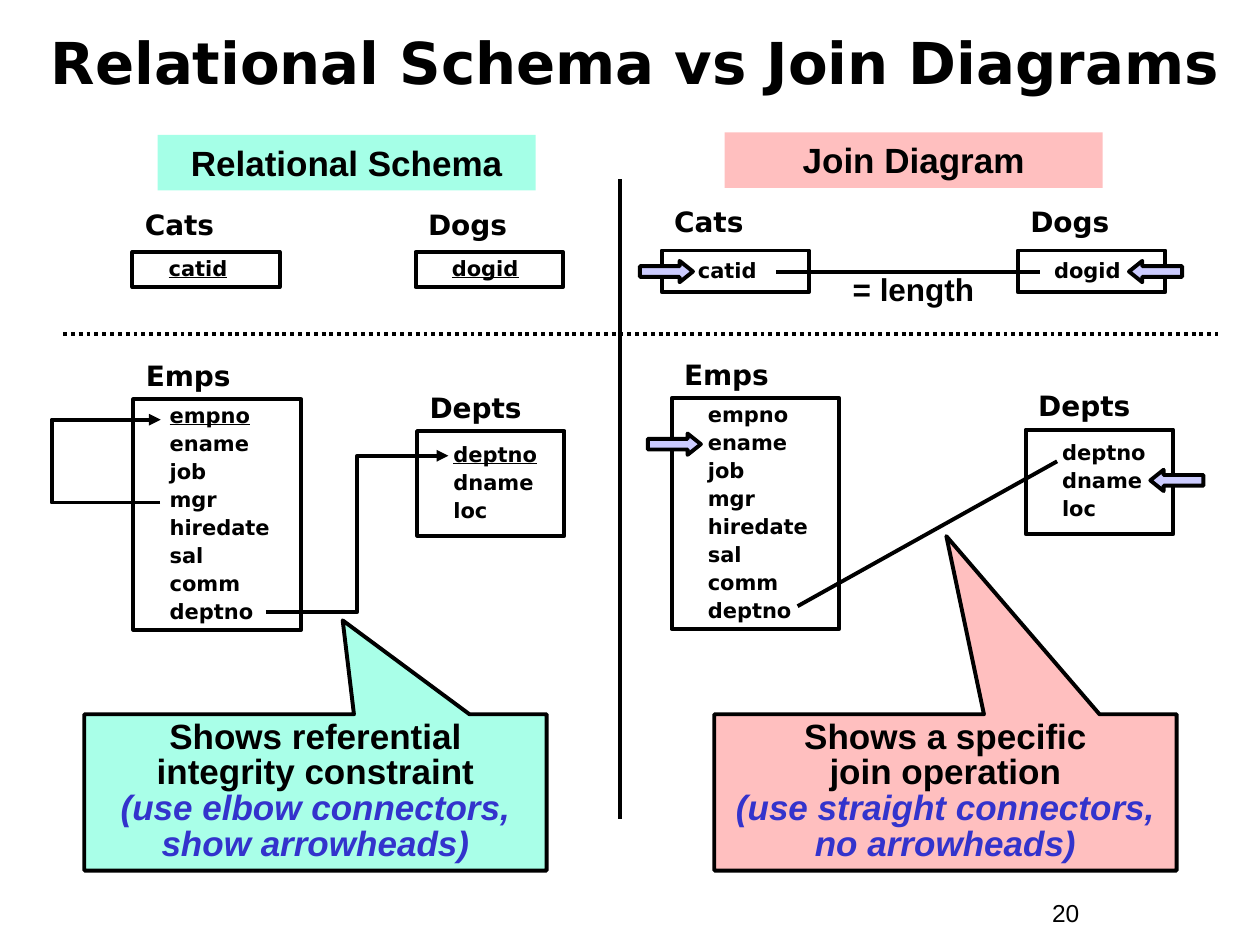
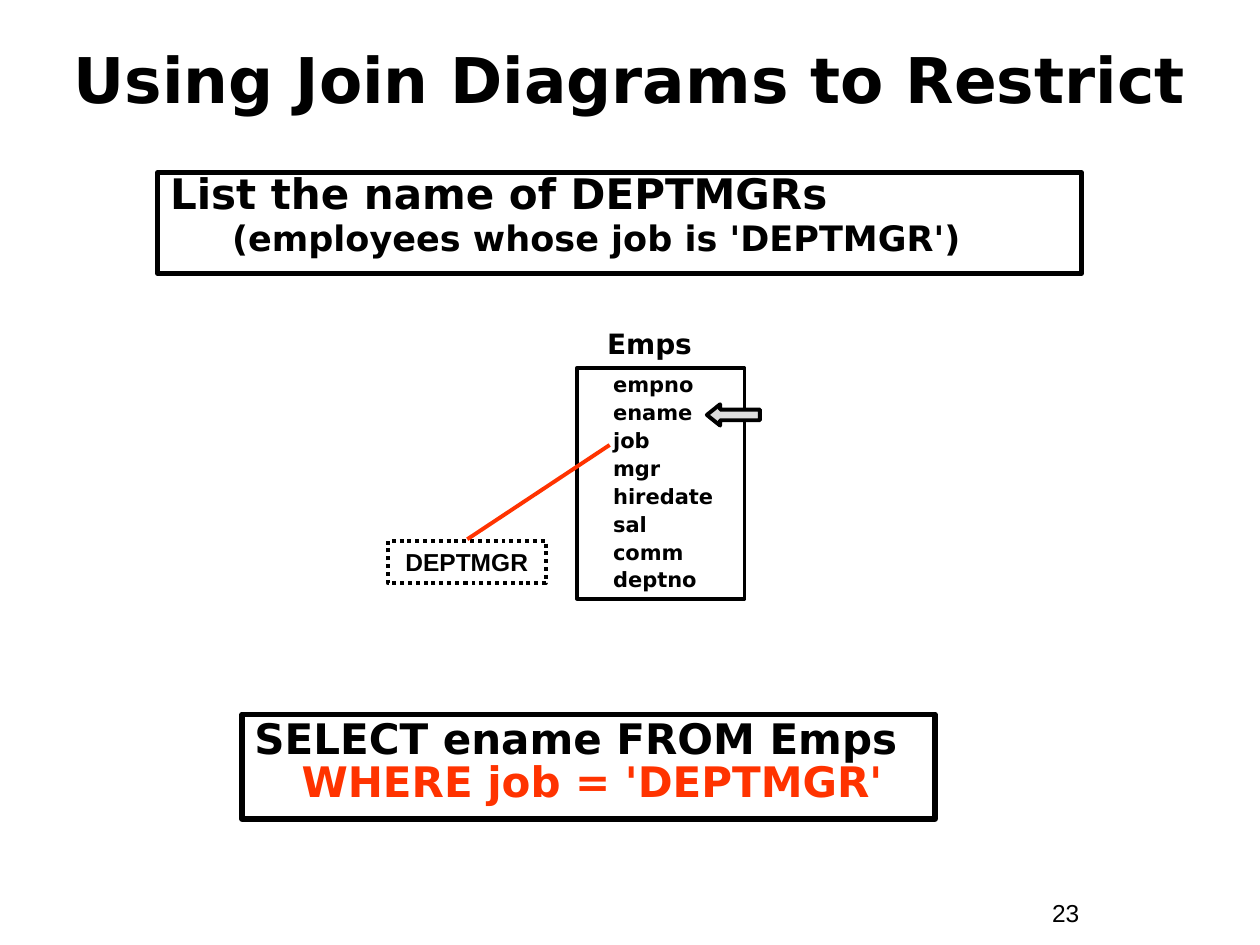
import pptx
import pptx.util
import pptx.dml.color
import pptx.enum.dml
import pptx.enum.shapes
import pptx.enum.text
import pptx.oxml.ns
from lxml import etree

Cm = pptx.util.Cm
Pt = pptx.util.Pt
RGBColor = pptx.dml.color.RGBColor
SHAPE = pptx.enum.shapes.MSO_SHAPE
LINK = pptx.enum.shapes.MSO_CONNECTOR
ALIGN = pptx.enum.text.PP_ALIGN
ANCHOR = pptx.enum.text.MSO_ANCHOR
DOTS = pptx.enum.dml.MSO_LINE.ROUND_DOT
qn = pptx.oxml.ns.qn

BLACK = RGBColor(0x00, 0x00, 0x00)
MINT = RGBColor(0xA5, 0xFF, 0xE7)
AQUA = RGBColor(0xA9, 0xFF, 0xE8)
PINK = RGBColor(0xFF, 0xBF, 0xBF)
BLUE = RGBColor(0x33, 0x33, 0xCC)
LILAC = RGBColor(0xCC, 0xCC, 0xFF)
GREY = RGBColor(0xDD, 0xDD, 0xDD)
RED = RGBColor(0xFF, 0x33, 0x00)

SANS = "DejaVu Sans"
ARIAL = "Arial"
EMPS = ["empno", "ename", "job", "mgr", "hiredate", "sal", "comm", "deptno"]
DEPTS = ["deptno", "dname", "loc"]


def style(para, size, font=SANS, color=BLACK, bold=True):
    for run in para.runs:
        run.font.size = Pt(size)
        run.font.name = font
        run.font.bold = bold
        run.font.color.rgb = color


def write(shape, lines, size, font=SANS, align=ALIGN.LEFT, space=1.0,
          gap=0, anchor=ANCHOR.TOP, bold=True):
    frame = shape.text_frame
    frame.word_wrap = True
    frame.vertical_anchor = anchor
    frame.text = "\n".join(lines)
    for row, para in enumerate(frame.paragraphs):
        para.alignment = align
        para.line_spacing = space
        para.space_before = Pt(gap if row else 0)
        style(para, size, font, bold=bold)
    return frame.paragraphs


def indent(para, left):
    para._p.get_or_add_pPr().set("marL", str(Cm(left)))


def label(slide, x, y, wide, high, text, size, **look):
    box = slide.shapes.add_textbox(Cm(x), Cm(y), Cm(wide), Cm(high))
    write(box, [text], size, **look)


def block(slide, kind, x, y, wide, high, fill=None, line=2.25):
    shape = slide.shapes.add_shape(kind, Cm(x), Cm(y), Cm(wide), Cm(high))
    shape.shadow.inherit = False
    if fill is None:
        shape.fill.background()
    else:
        shape.fill.solid()
        shape.fill.fore_color.rgb = fill
    if line:
        shape.line.color.rgb = BLACK
        shape.line.width = Pt(line)
    else:
        shape.line.fill.background()
    return shape


def join(slide, x1, y1, x2, y2, kind=LINK.STRAIGHT, color=BLACK, head=False):
    link = slide.shapes.add_connector(kind, Cm(x1), Cm(y1), Cm(x2), Cm(y2))
    link.line.color.rgb = color
    link.line.width = Pt(2.25)
    if head:
        tail = etree.SubElement(link.line._get_or_add_ln(), qn("a:tailEnd"))
        tail.set("type", "triangle")
    etree.SubElement(link._element.spPr, qn("a:effectLst"))
    return link


def loop(slide, x, top, base, reach):
    thin = 0.01
    link = join(slide, x + thin, top, x, base, LINK.ELBOW, head=True)
    link.rotation = 180
    link._element.spPr.find(qn("a:xfrm")).set("rot", "10800000")
    guides = link._element.spPr.find(qn("a:prstGeom")).find(qn("a:avLst"))
    guide = etree.SubElement(guides, qn("a:gd"))
    guide.set("name", "adj1")
    guide.set("fmla", f"val {-round(reach / thin * 100000)}")


def arrow(slide, x, y, kind, fill=LILAC):
    shape = block(slide, kind, x, y, 1.07, 0.43, fill)
    shape.adjustments[0] = 0.5
    shape.adjustments[1] = 0.625


def table(slide, x, y, wide, high, name, fields, lift=0.87, shift=0, key=False):
    label(slide, x + shift, y - lift, 3.45, 0.86, name, 16, space=0.9)
    box = block(slide, SHAPE.RECTANGLE, x, y, wide, high)
    paras = write(box, fields, 12, space=0.9, gap=3, anchor=ANCHOR.MIDDLE)
    for para in paras:
        indent(para, 0.48)
    paras[0].runs[0].font.underline = key


def banner(slide, x, y, text, fill):
    box = block(slide, SHAPE.RECTANGLE, x, y, 7.62, 1.12, fill, line=0)
    write(box, [text], 20, ARIAL, ALIGN.CENTER)


def callout(slide, x, y, facts, hints, fill, tip):
    box = block(slide, SHAPE.RECTANGULAR_CALLOUT, x, y, 9.32, 3.15, fill)
    box.adjustments[0], box.adjustments[1] = tip
    paras = write(box, facts + hints, 20, ARIAL, ALIGN.CENTER, 0.85)
    for para in paras[len(facts):]:
        style(para, 20, ARIAL, BLUE)
        para.runs[0].font.italic = True


def schema(slide, x, y):
    banner(slide, x + 3.18, y + 0.22, "Relational Schema", MINT)
    for left, name, field in ((2.67, "Cats", "catid"), (8.38, "Dogs", "dogid")):
        table(slide, x + left, y + 2.58, 2.97, 0.71, name, [field], 0.95, key=True)
    table(slide, x + 2.69, y + 5.55, 3.38, 4.65, "Emps", EMPS, key=True)
    table(slide, x + 8.41, y + 6.19, 2.97, 2.11, "Depts", DEPTS, key=True)
    join(slide, x + 5.36, y + 9.84, x + 9.04, y + 6.69, LINK.ELBOW, head=True)
    loop(slide, x + 3.23, y + 5.96, y + 7.63, 2.19)
    callout(slide, x + 1.7, y + 11.9, ["Shows referential integrity constraint"],
            ["(use elbow connectors,", "show arrowheads)"], AQUA, (0.059, -1.101))


def diagram(slide, x, y):
    banner(slide, x + 2.11, y + 0.17, "Join Diagram", PINK)
    for left, name, field in ((0.84, "Cats", "catid"), (8.02, "Dogs", "dogid")):
        table(slide, x + left, y + 2.55, 2.97, 0.84, name, [field], 0.97)
    table(slide, x + 1.04, y + 5.53, 3.38, 4.65, "Emps", EMPS)
    table(slide, x + 8.18, y + 6.16, 2.97, 2.11, "Depts", DEPTS)
    join(slide, x + 3.15, y + 2.99, x + 8.46, y + 2.99)
    label(slide, x + 4.01, y + 2.81, 3.81, 1.02, "= length", 18,
          font=ARIAL, align=ALIGN.CENTER)
    join(slide, x + 3.58, y + 9.72, x + 8.81, y + 6.8)
    callout(slide, x + 1.9, y + 11.9, ["Shows a specific", "join operation"],
            ["(use straight connectors,", "no arrowheads)"], PINK, (0.002, -1.64))
    for left, top in ((0.56, 6.24), (0.4, 2.76)):
        arrow(slide, x + left, y + top, SHAPE.RIGHT_ARROW)
    for left, top in ((10.26, 2.76), (10.69, 6.97)):
        arrow(slide, x + left, y + top, SHAPE.LEFT_ARROW)


def start(deck, text, number, box, size, space=1.0):
    slide = deck.slides.add_slide(deck.slide_layouts[5])
    title = slide.shapes.title
    title.left, title.top, title.width, title.height = map(Cm, box)
    write(title, [text], size, align=ALIGN.CENTER, space=space,
          anchor=ANCHOR.MIDDLE)
    title.text_frame.auto_size = pptx.enum.text.MSO_AUTO_SIZE.NONE
    label(slide, 20.96, 17.98, 2.34, 0.86, number, 14, font=ARIAL, bold=False)
    return slide


def compare(deck):
    slide = start(deck, "Relational Schema vs Join Diagrams", "20",
                  (0.64, 0.2, 24.33, 2.34), 33, 0.8)
    schema(slide, 0, 2.5)
    diagram(slide, 12.5, 2.5)
    join(slide, 12.5, 3.61, 12.5, 16.51)
    join(slide, 1.27, 6.73, 24.56, 6.73).line.dash_style = DOTS


def filter_map(slide, x, y):
    table(slide, x + 3.81, y, 3.38, 4.65, "Emps", EMPS, 0.89, 0.36)
    value = block(slide, SHAPE.RECTANGLE, x, y + 3.48, 3.18, 0.86)
    value.line.dash_style = DOTS
    write(value, ["DEPTMGR"], 14, ARIAL, ALIGN.CENTER)
    join(slide, x + 4.47, y + 1.55, x + 1.6, y + 3.45, color=RED)
    arrow(slide, x + 6.43, y + 0.73, SHAPE.LEFT_ARROW, GREY)


def restrict(deck):
    slide = start(deck, "Using Join Diagrams to Restrict", "23",
                  (0.84, 0.84, 23.7, 1.47), 36)
    task = block(slide, SHAPE.RECTANGLE, 3.18, 3.48, 18.62, 2.03, line=3)
    paras = write(task, ["List the name of DEPTMGRs",
                         "(employees whose job is 'DEPTMGR')"], 24,
                  space=0.75, gap=5.5)
    style(paras[1], 20)
    indent(paras[1], 1.25)
    filter_map(slide, 7.82, 7.42)
    query = block(slide, SHAPE.RECTANGLE, 4.88, 14.4, 13.97, 2.11, line=3)
    paras = write(query, ["SELECT ename FROM Emps", "WHERE job = 'DEPTMGR'"],
                  24, space=0.85)
    style(paras[1], 24, color=RED)
    indent(paras[1], 0.95)


def main():
    deck = pptx.Presentation()
    deck.slide_width, deck.slide_height = Cm(25.4), Cm(19.05)
    compare(deck)
    restrict(deck)
    deck.save("out.pptx")


if __name__ == "__main__":
    main()
